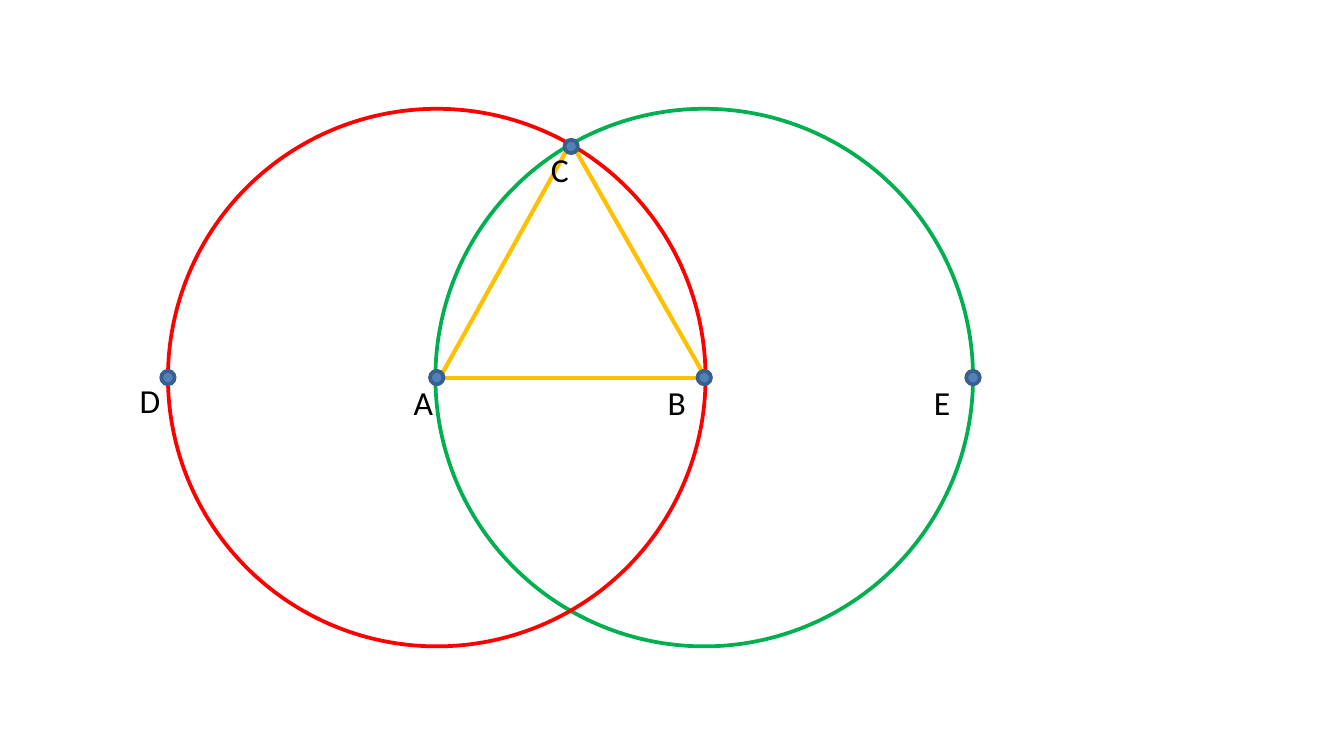
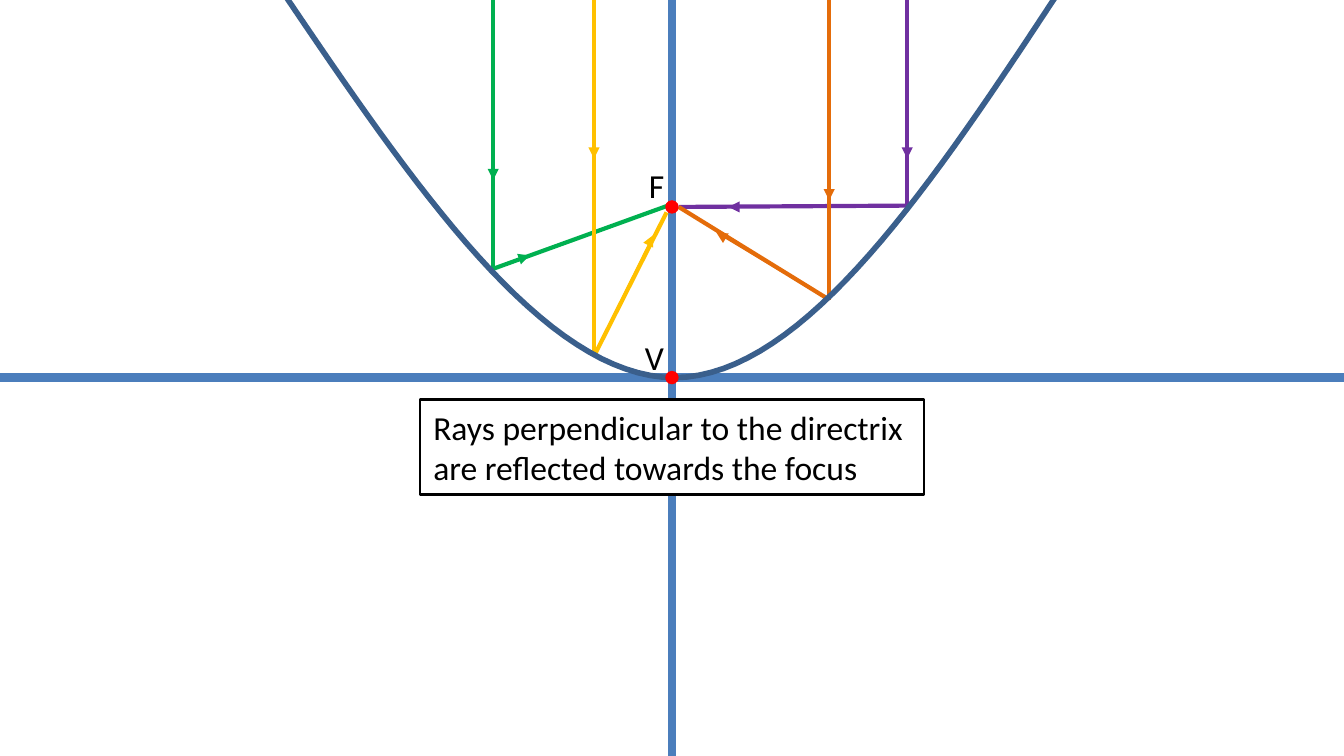
import pptx
import pptx.util
import pptx.dml.color
import pptx.enum.shapes
import pptx.enum.text
import pptx.oxml
import pptx.oxml.ns

PX = 4572
WIDTH, HEIGHT = 2000, 1125
BLACK, WHITE, RED = "000000", "FFFFFF", "FF0000"
GREEN, GOLD, ORANGE, PURPLE = "00B050", "FFC000", "E46C0A", "7030A0"
BLUE, NAVY, AXIS = "4F81BD", "3A5F8C", "4B7EBC"


def rgb(color):
    return pptx.dml.color.RGBColor.from_string(color)


def bezier(p0, p1, p2, p3, steps=32):
    points = []
    for i in range(1, steps + 1):
        t = i / steps
        u = 1 - t
        points.append(tuple(
            u**3 * a + 3 * u**2 * t * b + 3 * u * t**2 * c + t**3 * d
            for a, b, c, d in zip(p0, p1, p2, p3)
        ))
    return points


class Deck:
    font = "Calibri"
    size = 18

    def __init__(self):
        self.prs = pptx.Presentation()
        self.prs.slide_width = WIDTH * PX
        self.prs.slide_height = HEIGHT * PX
        self.s = None

    def slide(self):
        self.s = self.prs.slides.add_slide(self.prs.slide_layouts[6])

    def style(self, sp, fill=None, line=None, weight=2):
        sp.shadow.inherit = False
        if fill:
            sp.fill.solid()
            sp.fill.fore_color.rgb = rgb(fill)
        else:
            sp.fill.background()
        if line:
            sp.line.color.rgb = rgb(line)
            sp.line.width = pptx.util.Pt(weight)
        else:
            sp.line.fill.background()

    def set_text(self, sp, text, wrap=True):
        tf = sp.text_frame
        tf.text = text
        tf.word_wrap = wrap
        tf.auto_size = pptx.enum.text.MSO_AUTO_SIZE.SHAPE_TO_FIT_TEXT
        p = tf.paragraphs[0]
        p.alignment = pptx.enum.text.PP_ALIGN.LEFT
        r = p.runs[0]
        r.font.name = self.font
        r.font.size = pptx.util.Pt(self.size)
        r.font.color.rgb = rgb(BLACK)

    def label(self, text, x, y, w, wrap=True):
        sp = self.s.shapes.add_textbox(x * PX, y * PX, w * PX, 80 * PX)
        self.set_text(sp, text, wrap)

    def circle(self, x, y, radius, fill=None, line=None):
        sp = self.s.shapes.add_shape(
            pptx.enum.shapes.MSO_SHAPE.OVAL,
            (x - radius) * PX, (y - radius) * PX, 2 * radius * PX, 2 * radius * PX)
        self.style(sp, fill, line)

    def box(self, text, x, y, w, h):
        sp = self.s.shapes.add_shape(
            pptx.enum.shapes.MSO_SHAPE.RECTANGLE, x * PX, y * PX, w * PX, h * PX)
        self.style(sp, WHITE, BLACK, 1.5)
        self.set_text(sp, text)

    def line(self, start, end, color, weight=2.25, arrow=False):
        sp = self.s.shapes.add_connector(
            pptx.enum.shapes.MSO_CONNECTOR.STRAIGHT, *(v * PX for v in start + end))
        sp.line.color.rgb = rgb(color)
        sp.line.width = pptx.util.Pt(weight)
        spPr = sp._element.spPr
        if arrow:
            ln = spPr.find(pptx.oxml.ns.qn("a:ln"))
            ln.append(pptx.oxml.parse_xml(
                f'<a:tailEnd {pptx.oxml.ns.nsdecls("a")} type="triangle"/>'))
        spPr.append(pptx.oxml.parse_xml(
            f'<a:effectLst {pptx.oxml.ns.nsdecls("a")}/>'))

    def curve(self, start, points, color, weight):
        builder = self.s.shapes.build_freeform(start[0] * PX, start[1] * PX)
        builder.add_line_segments([(x * PX, y * PX) for x, y in points], close=False)
        self.style(builder.convert_to_shape(), None, color, weight)


def triangle_slide(deck):
    deck.slide()
    base, radius = 562, 400
    deck.line((858, 226), (1050, base), GOLD)
    deck.line((658, 556), (842, 226), GOLD)
    deck.line((648, base), (1058, base), GOLD)
    deck.circle(1048, base, radius, line=GREEN)
    deck.circle(650, base, radius, line=RED)
    for x in (650, 1048, 1448, 250):
        deck.circle(x, base, 10, BLUE, NAVY)
    for text, x, y, w in (("D", 188, 556, 72), ("A", 596, 558, 70),
                          ("B", 974, 558, 68), ("E", 1370, 558, 64),
                          ("C", 800, 212, 68)):
        deck.label(text, x, y, w, wrap=False)
    deck.circle(850, 218, 10, BLUE, NAVY)


def parabola_slide(deck):
    rays = (
        (GREEN, 734, -22, 400, (994, 306), (96, 268), ((738, 398), (788, 380))),
        (PURPLE, 1350, 0, 306, (1010, 308), (62, 236), ((1200, 308), (1084, 308))),
        (GOLD, 884, -22, 530, (992, 316), (62, 236), ((900, 496), (972, 350))),
        (ORANGE, 1234, 0, 446, (1010, 308), (126, 298), ((1166, 406), (1066, 346))),
    )
    deck.slide()
    deck.label("F", 946, 236, 84)
    deck.line((0, 562), (WIDTH, 562), AXIS, 4.5)
    deck.line((1000, 0), (1000, HEIGHT), AXIS, 4.5)
    deck.label("V", 940, 492, 84)
    for color, x, top, bottom, focus, _, _ in rays:
        deck.line((x, top), (x, bottom), color)
        deck.line(focus, (x, bottom), color)
    left, vertex, right = (418, -16), (1004, 562), (1582, -22)
    arc = bezier(left, (614, 274), (810, 562), vertex)
    arc += bezier(vertex, (1198, 560), (1390, 270), right)
    deck.curve(left, arc, NAVY, 3)
    deck.circle(1000, 308, 10, RED)
    deck.box("Rays perpendicular to the directrix are reflected towards the focus",
             625, 594, 750, 142)
    deck.circle(1000, 562, 10, RED)
    for color, x, _, _, _, (y1, y2), (start, end) in rays:
        deck.line((x, y1), (x, y2), color, 0.75, arrow=True)
        deck.line(start, end, color, 0.75, arrow=True)


def main():
    deck = Deck()
    triangle_slide(deck)
    parabola_slide(deck)
    deck.prs.save("out.pptx")


if __name__ == "__main__":
    main()
